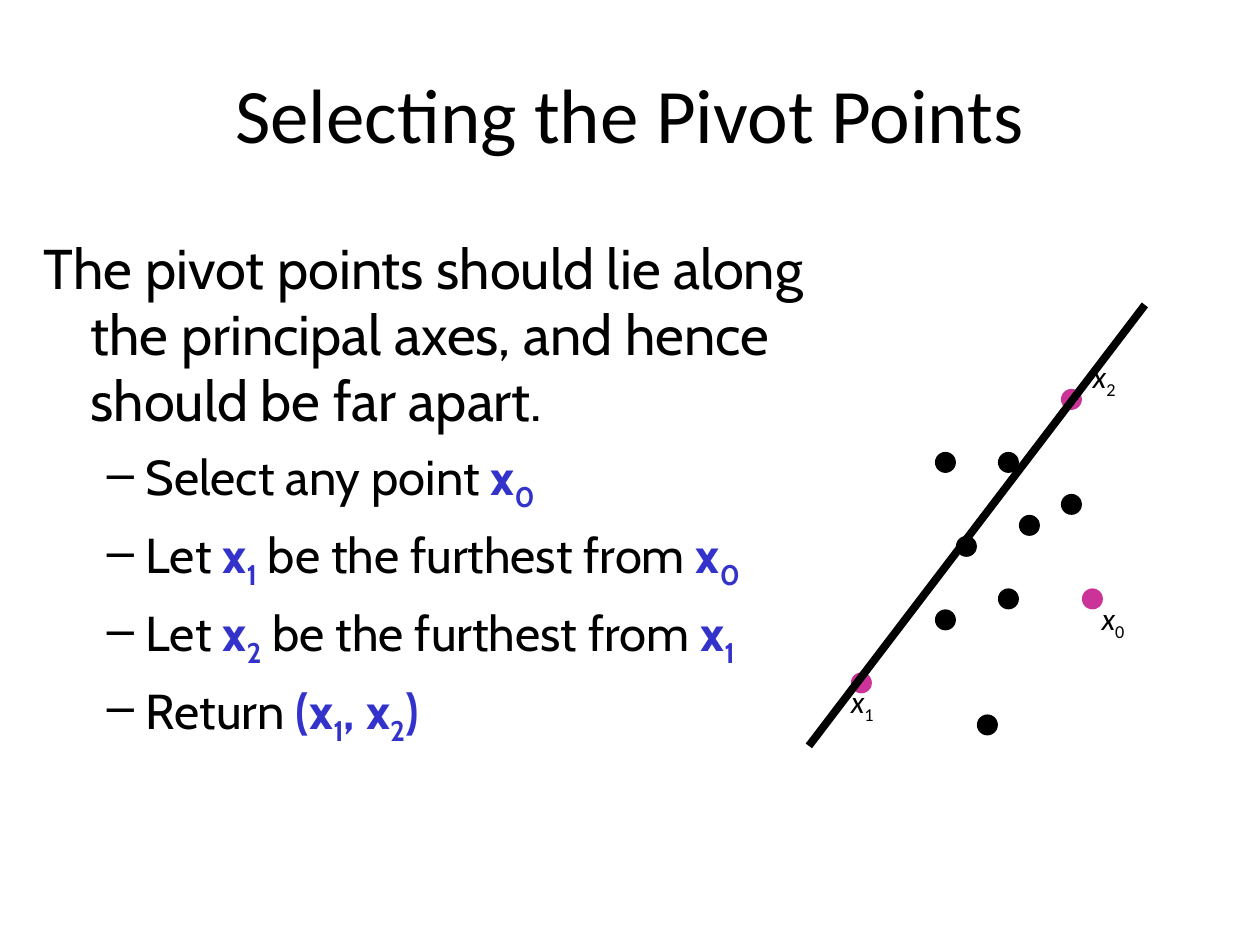
from lxml.etree import SubElement
from pptx import Presentation
from pptx.dml.color import RGBColor
from pptx.enum.shapes import MSO_CONNECTOR, MSO_SHAPE
from pptx.enum.text import MSO_ANCHOR, MSO_AUTO_SIZE, PP_ALIGN
from pptx.oxml.ns import qn
from pptx.util import Inches, Pt

BLACK = RGBColor(0x00, 0x00, 0x00)
BLUE = RGBColor(0x33, 0x33, 0xCC)
PINK = RGBColor(0xCC, 0x33, 0x99)

LINE_SPACING = 0.98
STEP = 1 / 6  # plot grid unit in inches, also the dot diameter

# "|" switches emphasis on and off, "_" lowers the next character
STATEMENT = ("The pivot points should lie along the principal axes, "
             "and hence should be far apart.")
STEPS = [
    "Select any point |x_0|",
    "Let |x_1| be the furthest from |x_0|",
    "Let |x_2| be the furthest from |x_1|",
    "Return |(x_1, x_2)|",
]

# Positions below are (column, row) on the plot grid
DATA_POINTS = [(6, 7), (9, 7), (7, 11), (12, 9), (8, 19.5),
               (6, 14.5), (9, 13.5), (10, 10)]
PIVOT_POINTS = [(13, 13.5), (12, 4), (2, 17.5)]
PIVOT_LABELS = [("|x_0|", 13.34, 13.7), ("|x_2|", 12.92, 2.18),
                ("|x_1|", 1.4, 17.66)]
LABEL_SIZE = (2.28, 2.64)


def add_text_frame(slide, box, anchor=MSO_ANCHOR.TOP, wrap=True):
    frame = slide.shapes.add_textbox(*map(Inches, box)).text_frame
    frame.word_wrap = wrap
    frame.vertical_anchor = anchor
    return frame


def style_paragraph(paragraph, font_name, size, align=PP_ALIGN.LEFT):
    paragraph.alignment = align
    paragraph.line_spacing = LINE_SPACING
    paragraph.font.name = font_name
    paragraph.font.size = Pt(size)
    paragraph.font.color.rgb = BLACK


def add_marked_text(paragraph, marked, emphasise):
    """Write runs, calling emphasise(font, lowered) for the marked ones."""
    for index, segment in enumerate(marked.split("|")):
        first, *lowered_parts = segment.split("_")
        pieces = [(first, False)]
        for part in lowered_parts:
            pieces += [(part[0], True), (part[1:], False)]
        for text, lowered in pieces:
            if not text:
                continue
            run = paragraph.add_run()
            run.text = text
            if index % 2:
                emphasise(run.font, lowered)
            if lowered:
                run._r.get_or_add_rPr().set("baseline", "-25000")


def bold_blue(font, lowered):
    font.bold = True
    font.color.rgb = BLUE


def italic_symbol(font, lowered):
    font.italic = not lowered


def set_indent(paragraph, margin, hanging, bullet=None):
    properties = paragraph._p.get_or_add_pPr()
    properties.set("marL", str(Inches(margin)))
    properties.set("indent", str(-Inches(hanging)))
    if bullet:
        colour = SubElement(properties, qn("a:buClr"))
        SubElement(colour, qn("a:srgbClr")).set("val", str(BLACK))
        SubElement(properties, qn("a:buChar")).set("char", bullet)


def add_title(slide, box):
    paragraph = add_text_frame(slide, box, MSO_ANCHOR.MIDDLE).paragraphs[0]
    paragraph.text = "Selecting the Pivot Points"
    style_paragraph(paragraph, "Calibri", 44, PP_ALIGN.CENTER)


def add_body(slide, box):
    frame = add_text_frame(slide, box)
    statement = frame.paragraphs[0]
    statement.text = STATEMENT
    set_indent(statement, 0.37, 0.37)
    style_paragraph(statement, "Cabin", 32)

    for step in STEPS:
        paragraph = frame.add_paragraph()
        paragraph.level = 1
        set_indent(paragraph, 0.81, 0.31, "–")
        style_paragraph(paragraph, "Cabin", 28)
        paragraph.space_before = Pt(7)
        add_marked_text(paragraph, step, bold_blue)


def add_plot(slide, box):
    left, top, width, height = box

    def place(column, row):
        return Inches(left + column * STEP), Inches(top + row * STEP)

    # Data points and pivots
    dots = [(p, BLACK) for p in DATA_POINTS] + [(p, PINK) for p in PIVOT_POINTS]
    for position, colour in dots:
        dot = slide.shapes.add_shape(MSO_SHAPE.OVAL, *place(*position),
                                     Inches(STEP), Inches(STEP))
        dot.shadow.inherit = False
        dot.fill.solid()
        dot.fill.fore_color.rgb = colour
        dot.line.fill.background()

    # Pivot labels
    for label, column, row in PIVOT_LABELS:
        label_box = (left + column * STEP, top + row * STEP,
                     *(side * STEP for side in LABEL_SIZE))
        frame = add_text_frame(slide, label_box, MSO_ANCHOR.MIDDLE, wrap=False)
        frame.auto_size = MSO_AUTO_SIZE.SHAPE_TO_FIT_TEXT
        style_paragraph(frame.paragraphs[0], "Calibri", 18, PP_ALIGN.CENTER)
        add_marked_text(frame.paragraphs[0], label, italic_symbol)

    # Principal axis, from the lower left to the upper right corner
    axis = slide.shapes.add_connector(
        MSO_CONNECTOR.STRAIGHT, Inches(left), Inches(top + height),
        Inches(left + width), Inches(top))
    axis.line.color.rgb = BLACK
    axis.line.width = Pt(4.5)
    SubElement(axis._element.spPr, qn("a:effectLst"))


def main():
    presentation = Presentation()
    presentation.slide_width = Inches(10)
    presentation.slide_height = Inches(7.5)
    slide = presentation.slides.add_slide(presentation.slide_layouts[6])

    add_title(slide, (0.5, 0.14, 9, 1.57))
    add_body(slide, (0.25, 1.83, 6.75, 4.5))
    add_plot(slide, (6.42, 2.42, 16 * STEP, 21 * STEP))
    presentation.save("out.pptx")


if __name__ == "__main__":
    main()
